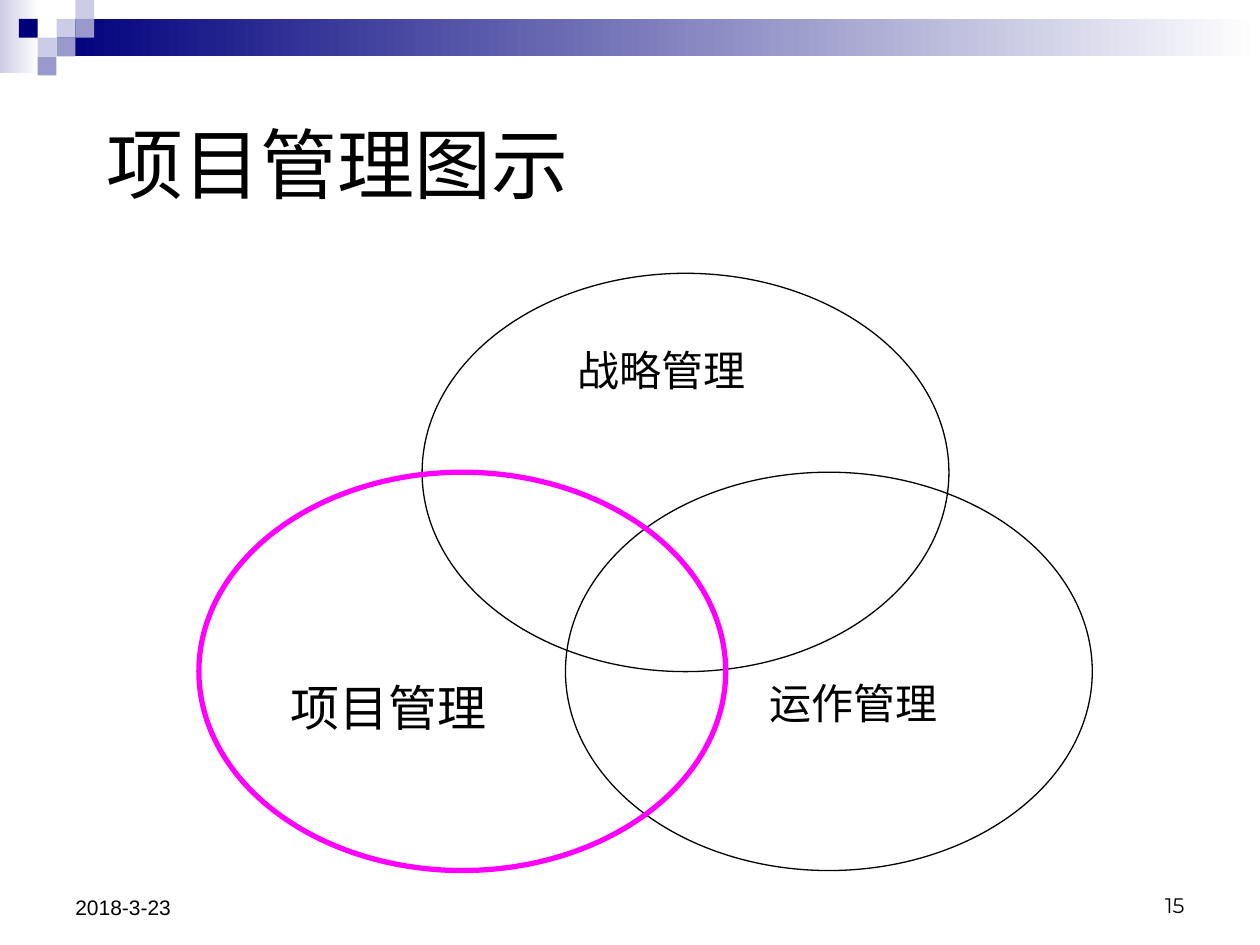
from dataclasses import dataclass

import lxml.etree
import pptx
import pptx.dml.color
import pptx.enum.shapes
import pptx.enum.text
import pptx.oxml.ns
import pptx.util

Cm = pptx.util.Cm
Pt = pptx.util.Pt
Shape = pptx.enum.shapes.MSO_SHAPE
Align = pptx.enum.text.PP_ALIGN
Anchor = pptx.enum.text.MSO_ANCHOR


@dataclass(frozen=True)
class Theme:
    ink: str = "000000"
    paper: str = "FFFFFF"
    navy: str = "00007D"
    lavender: str = "CCCCE6"
    periwinkle: str = "9999CC"
    highlight: str = "FF00FF"
    chinese: str = "Noto Sans CJK SC"
    label_font: str = "Times New Roman"
    date_font: str = "Arial"
    number_font: str = "Montserrat"
    title_size: int = 44
    strong_size: int = 28
    label_size: int = 24
    footer_size: int = 12
    thin: float = 0.75
    thick: float = 3


THEME = Theme()


def rgb(colour):
    return pptx.dml.color.RGBColor.from_string(colour)


def add_text(slide, box, words, font, size, align=Align.LEFT, anchor=Anchor.TOP):
    frame = slide.shapes.add_textbox(*map(Cm, box)).text_frame
    frame.word_wrap = True
    frame.vertical_anchor = anchor
    paragraph = frame.paragraphs[0]
    paragraph.text = words
    paragraph.alignment = align
    paragraph.font.size = Pt(size)
    paragraph.font.color.rgb = rgb(THEME.ink)
    paragraph.font.name = font
    defaults = paragraph._p.pPr.find(pptx.oxml.ns.qn("a:defRPr"))
    east_asian = lxml.etree.SubElement(defaults, pptx.oxml.ns.qn("a:ea"))
    east_asian.set("typeface", THEME.chinese)


def add_block(slide, box, colour, fade=False):
    block = slide.shapes.add_shape(Shape.RECTANGLE, *map(Cm, box))
    block.shadow.inherit = False
    block.line.fill.background()
    if fade:
        block.fill.gradient()
        block.fill.gradient_angle = 0
        for stop, shade in zip(block.fill.gradient_stops, (colour, THEME.paper)):
            stop.color.rgb = rgb(shade)
    else:
        block.fill.solid()
        block.fill.fore_color.rgb = rgb(colour)


def add_banner(slide, left, top, width, height):
    cell = height / 4
    add_block(slide, (left, top, 0.79, 1.47), THEME.lavender, fade=True)
    add_block(slide, (left + 3 * cell, top + cell, width - 3 * cell, 2 * cell),
              THEME.navy, fade=True)
    mosaic = [
        (3, 1, THEME.lavender), (4, 0, THEME.lavender), (4, 1, THEME.periwinkle),
        (2, 2, THEME.lavender), (1, 1, THEME.navy), (3, 2, THEME.periwinkle),
        (2, 3, THEME.periwinkle),
    ]
    for column, row, colour in mosaic:
        add_block(slide, (left + column * cell, top + row * cell, cell, cell), colour)


def add_circle(slide, box, colour, weight):
    circle = slide.shapes.add_shape(Shape.OVAL, *map(Cm, box))
    circle.shadow.inherit = False
    circle.fill.background()
    circle.line.color.rgb = rgb(colour)
    circle.line.width = Pt(weight)


def add_venn(slide, left, top, width, height):
    across, down = 10.62, 8.03
    low, right = height - down, width - across
    fields = [
        ("战略管理", 4.5, 0, 7.39, 1.32, THEME.label_size, THEME.ink, THEME.thin),
        ("运作管理", right, low, 11.26, 8.03, THEME.label_size, THEME.ink, THEME.thin),
        ("项目管理", 0, low, 1.6, 8.03, THEME.strong_size, THEME.highlight, THEME.thick),
    ]
    for words, x, y, label_x, label_y, size, colour, weight in fields:
        add_circle(slide, (left + x, top + y, across, down), colour, weight)
        add_text(slide, (left + label_x, top + label_y, 5.79, 2.02), words,
                 THEME.label_font, size, Align.JUSTIFY)


def add_footer(slide, left, top, width, height):
    part = 5.92
    add_text(slide, (left, top, part, height), "2018-3-23",
             THEME.date_font, THEME.footer_size, anchor=Anchor.BOTTOM)
    add_text(slide, (left + width - part, top, part, height - 0.05), "15",
             THEME.number_font, THEME.footer_size, Align.RIGHT, Anchor.BOTTOM)


def main():
    deck = pptx.Presentation()
    deck.slide_width, deck.slide_height = Cm(25.4), Cm(19.05)
    slide = deck.slides.add_slide(deck.slide_layouts[6])
    add_banner(slide, 0, 0, 25.4, 1.52)
    add_text(slide, (1.9, 1.7, 21.59, 3.18), "项目管理图示",
             THEME.chinese, THEME.title_size, anchor=Anchor.MIDDLE)
    add_venn(slide, 4.01, 5.51, 18.01, 12.04)
    add_footer(slide, 1.27, 17.35, 22.86, 1.32)
    deck.save("out.pptx")


if __name__ == "__main__":
    main()
